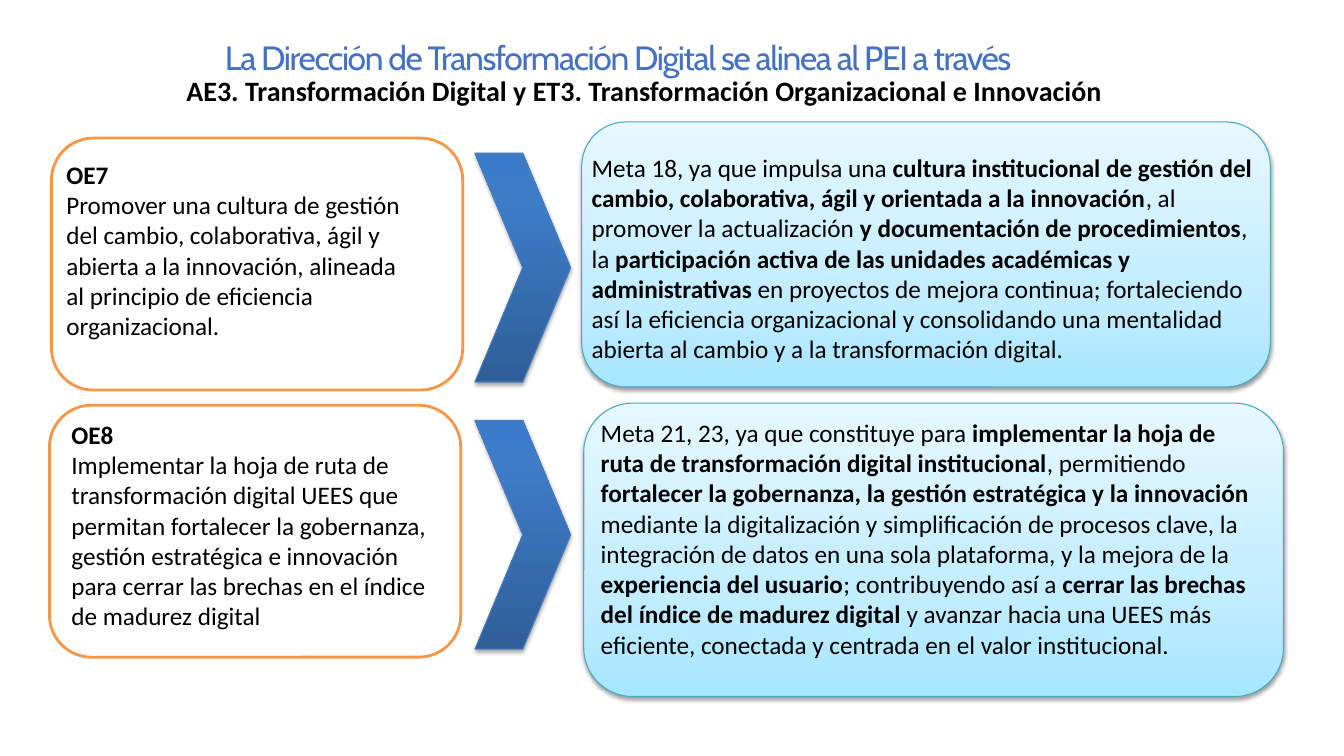
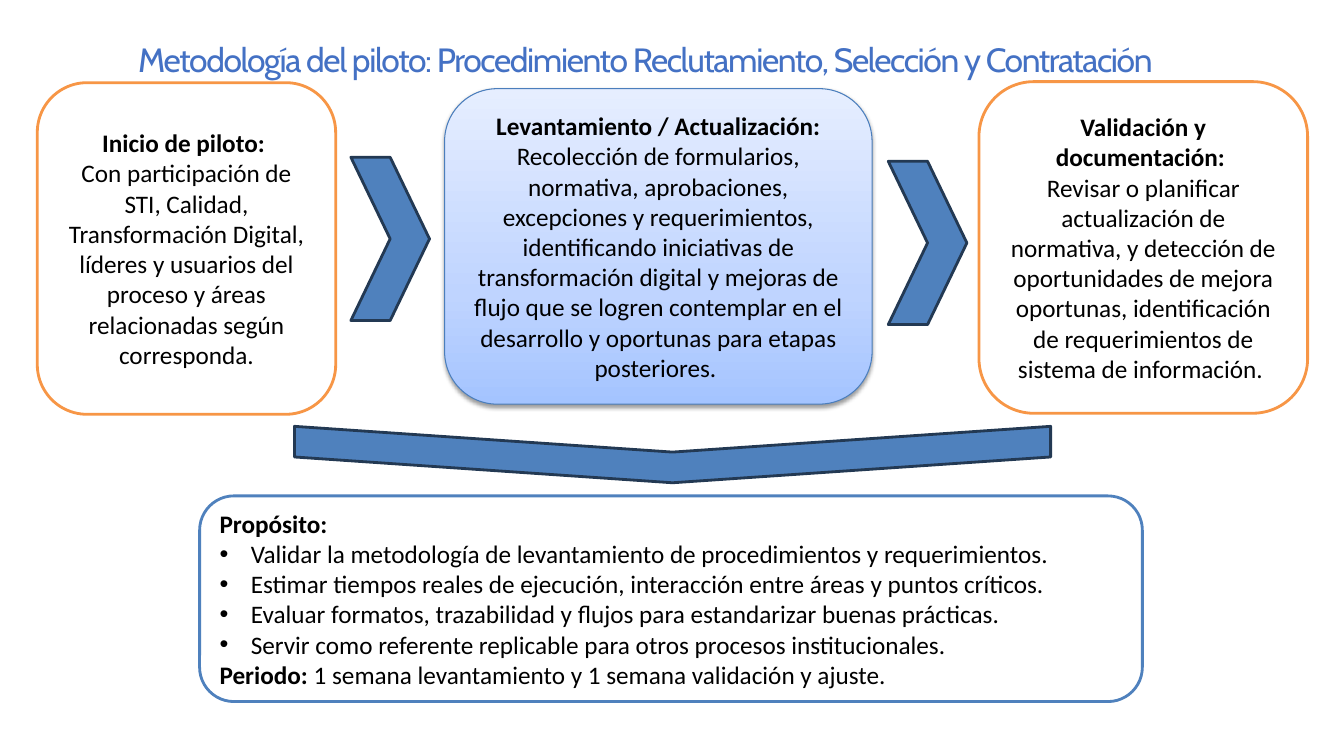
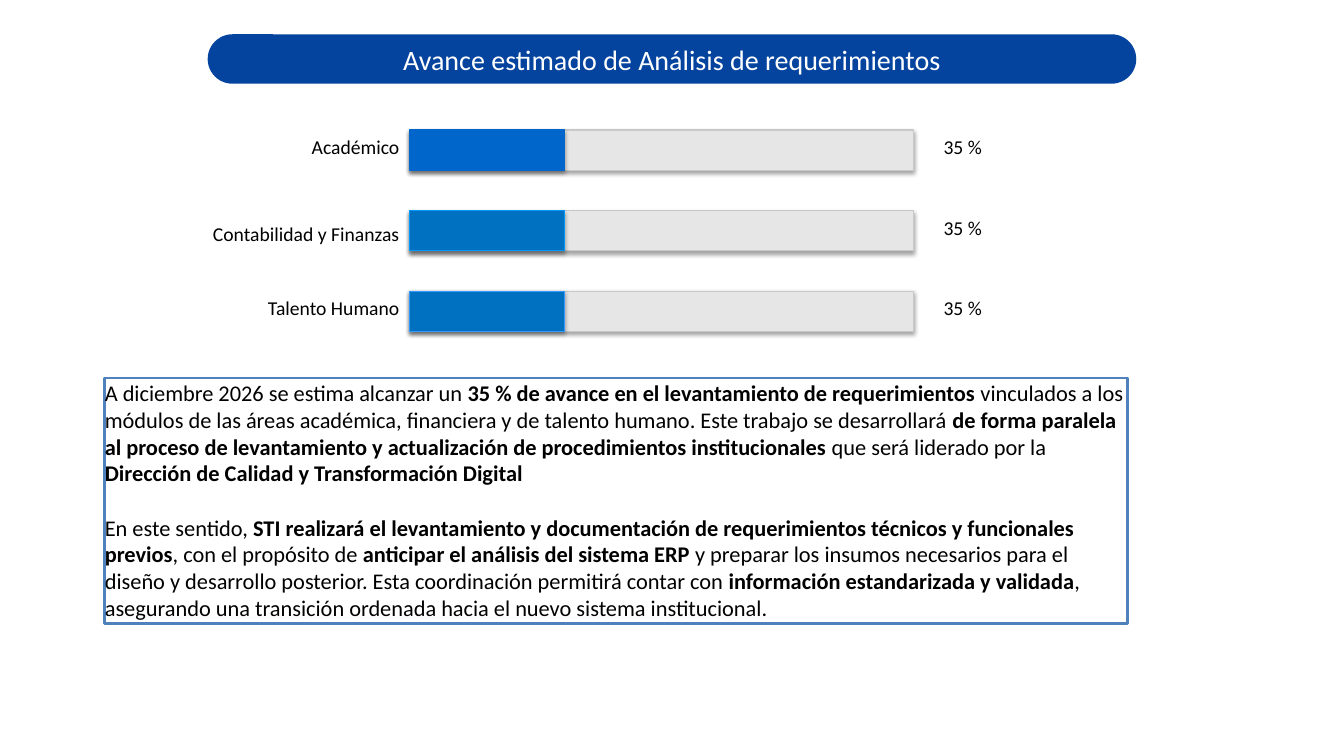
from collections import namedtuple

from lxml import etree
from pptx import Presentation
from pptx.dml.color import RGBColor
from pptx.enum.shapes import MSO_SHAPE as Preset
from pptx.enum.text import MSO_ANCHOR as Anchor, PP_ALIGN as Align
from pptx.oxml.ns import qn
from pptx.util import Inches, Pt

Box = namedtuple("Box", "left top width height")
Style = namedtuple("Style", "fill line weight shadow")

# Shared look: fill (one colour or gradient stops), line, weight, shadow (alpha, distance)
BLACK, WHITE, TITLE_BLUE, BANNER_BLUE = "000000", "FFFFFF", "4471C4", "04449E"
CARD_SHADOW, BAR_SHADOW = (38, 1.6), (35, 1.8)
ORANGE_CARD = Style(WHITE, "F79646", 2, None)
BLUE_CARD = Style(WHITE, "4F81BD", 2, None)
CYAN_CARD = Style([(0, "A7E6FF"), (35, "C1EDFF"), (100, "E7F8FF")], "46AAC5", 0.75, CARD_SHADOW)
SKY_CARD = Style([(0, "A4C4FF"), (35, "BFD4FF"), (100, "E6EEFF")], "4B7EBC", 0.75, CARD_SHADOW)
DEEP_ARROW = Style([(0, "2F5F99"), (80, "3D7CC7"), (100, "3A7CCB")], "4B7EBC", 0.75, BAR_SHADOW)
FLAT_ARROW = Style("4F81BD", "233953", 2, None)
BANNER = Style(BANNER_BLUE, None, 0, None)
TRACK = Style("E6E6E6", "C8C8C8", 0.75, BAR_SHADOW)
TEXT_INSETS = (0.1, 0.05, 0.1, 0.05)


def rgb(value):
    return RGBColor.from_string(value)


def inside(box, offset):
    """Move a box given relative to another one onto the slide."""
    return Box(box.left + offset.left, box.top + offset.top, offset.width, offset.height)


def add_child(parent, tag, **attributes):
    child = etree.SubElement(parent, qn(tag))
    for name, value in attributes.items():
        child.set(name, str(value))
    return child


def add_color_stop(parent, position, color):
    stop = add_child(parent, "a:gs", pos=position * 1000)
    add_child(stop, "a:srgbClr", val=color)


def add_outer_shadow(effects, alpha, distance):
    shadow = add_child(effects, "a:outerShdw", blurRad=Pt(3.1), dist=Pt(distance),
                       dir=5400000, rotWithShape=0)
    color = add_child(shadow, "a:srgbClr", val=BLACK)
    add_child(color, "a:alpha", val=alpha * 1000)


def add_panel(slide, preset, box, style):
    shape = slide.shapes.add_shape(preset, *map(Inches, box))
    properties = shape._element.spPr
    if isinstance(style.fill, str):
        shape.fill.solid()
        shape.fill.fore_color.rgb = rgb(style.fill)
    else:
        shape.fill.gradient()
        shape.fill.gradient_angle = 90
        stops = properties.find(qn("a:gradFill")).find(qn("a:gsLst"))
        for stop in list(stops):
            stops.remove(stop)
        for position, color in style.fill:
            add_color_stop(stops, position, color)
    if style.line:
        shape.line.color.rgb = rgb(style.line)
        shape.line.width = Pt(style.weight)
    else:
        shape.line.fill.background()
    shape.shadow.inherit = False
    if style.shadow:
        add_outer_shadow(properties.find(qn("a:effectLst")), *style.shadow)
    return shape


def add_bullet(paragraph):
    properties = paragraph._p.get_or_add_pPr()
    properties.set("marL", str(Inches(0.31)))
    properties.set("indent", str(-Inches(0.31)))
    add_child(properties, "a:buFont", typeface="Arial")
    add_child(properties, "a:buChar", char="•")


def write(shape, lines, size=18, color=BLACK, align=Align.LEFT, anchor=Anchor.TOP,
          insets=TEXT_INSETS, gap=0, font="Calibri"):
    """Fill a shape: ** switches bold, a newline breaks the line, "• " starts a bullet."""
    frame = shape.text_frame
    frame.word_wrap = True
    frame.vertical_anchor = anchor
    frame.margin_left, frame.margin_top, frame.margin_right, frame.margin_bottom = map(Inches, insets)
    for index, line in enumerate(lines):
        paragraph = frame.add_paragraph() if index else frame.paragraphs[0]
        paragraph.alignment = align
        if index and gap:
            paragraph.space_before = Pt(gap)
        if line.startswith("• "):
            add_bullet(paragraph)
            line = line[2:]
        for part, text in enumerate(line.split("**")):
            for row, piece in enumerate(text.split("\n")):
                if row:
                    paragraph.add_line_break()
                if piece:
                    run = paragraph.add_run()
                    run.text = piece
                    run.font.name = font
                    run.font.size = Pt(size)
                    run.font.bold = part % 2 == 1
                    run.font.color.rgb = rgb(color)


def add_text(slide, box, lines, **options):
    shape = slide.shapes.add_textbox(*map(Inches, box))
    write(shape, lines, **options)
    return shape


def add_title(slide, box, text):
    shape = add_text(slide, box, [text], size=24, color=TITLE_BLUE, font="Cabin",
                     insets=(0, 0.09, 0, 0))
    shape.text_frame.paragraphs[0].runs[0]._r.get_or_add_rPr().set("spc", "-100")


def add_card(slide, box, style, text_offset, lines):
    """Rounded card with a text box placed relative to its corner."""
    add_panel(slide, Preset.ROUNDED_RECTANGLE, box, style)
    add_text(slide, inside(box, text_offset), lines)


def add_step(slide, box, style, text):
    card = add_panel(slide, Preset.ROUNDED_RECTANGLE, box, style)
    write(card, [text], align=Align.CENTER, anchor=Anchor.MIDDLE)


def add_progress_row(slide, box, label, label_drop, percent, fill, line):
    """Label, track with its filled part, and value; the box is the track."""
    label_box = inside(box, Box(-2.29, label_drop, 2.29, 0.34))
    add_text(slide, label_box, [label], size=14, align=Align.RIGHT)
    add_panel(slide, Preset.RECTANGLE, box, TRACK)
    done = box._replace(width=1.54)
    add_panel(slide, Preset.RECTANGLE, done, Style(fill, line, 0.75, BAR_SHADOW))
    add_text(slide, inside(box, Box(box.width + 0.2, 0, 0.65, 0.34)), [percent], size=14)


def build_alignment(slide):
    add_title(slide, Box(2.23, 0.28, 10.01, 0.48),
              "La Dirección de Transformación Digital se alinea al PEI a través")
    add_text(slide, Box(1.75, 0.68, 11.42, 0.44),
             ["**AE3. Transformación Digital y ET3. Transformación Organizacional e Innovación**"],
             size=20)

    # Each row: objective card and text offset, goal card and text offset
    rows = [
        (Box(0.51, 1.37, 4.08, 2.5), Box(0.05, 0.16, 3.53, 1.92),
         ["**OE7**",
          "Promover una cultura de gestión del cambio, colaborativa, ágil y abierta a la "
          "innovación, alineada al principio de eficiencia organizacional."],
         Box(5.77, 1.21, 6.83, 2.63), Box(0, 0.25, 6.83, 2.22),
         "Meta 18, ya que impulsa una **cultura institucional de gestión del cambio, "
         "colaborativa, ágil y orientada a la innovación**, al promover la actualización** y "
         "documentación de procedimientos**, la **participación activa de las unidades "
         "académicas y administrativas** en proyectos de mejora continua; fortaleciendo así la "
         "eficiencia organizacional y consolidando una mentalidad abierta al cambio y a la "
         "transformación digital."),
        (Box(0.49, 4.02, 4.08, 2.5), Box(0.12, 0.09, 3.89, 2.22),
         ["**OE8**",
          "Implementar la hoja de ruta de transformación digital UEES que permitan fortalecer "
          "la gobernanza, gestión estratégica e innovación para cerrar las brechas en el índice "
          "de madurez digital"],
         Box(5.79, 4, 6.94, 2.91), Box(0.07, 0.09, 6.65, 2.83),
         "Meta 21, 23, ya que constituye para **implementar la hoja de ruta de transformación "
         "digital institucional**, permitiendo **fortalecer la gobernanza, la gestión "
         "estratégica y la innovación** mediante la digitalización y simplificación de procesos "
         "clave, la integración de datos en una sola plataforma, y la mejora de la "
         "**experiencia del usuario**; contribuyendo así a **cerrar las brechas del índice de "
         "madurez digital** y avanzar hacia una UEES más eficiente, conectada y centrada en el "
         "valor institucional."),
    ]
    for objective_box, objective_offset, objective, goal_box, goal_offset, goal in rows:
        add_card(slide, objective_box, ORANGE_CARD, objective_offset, objective)
        add_panel(slide, Preset.CHEVRON, Box(4.71, objective_box.top + 0.15, 0.95, 2.27), DEEP_ARROW)
        add_card(slide, goal_box, CYAN_CARD, goal_offset, [goal])


def build_method(slide):
    add_title(slide, Box(1.37, 0.3, 11.46, 0.48),
              "Metodología del piloto: Procedimiento Reclutamiento, Selección y Contratación")

    # Three steps joined by chevrons
    add_step(slide, Box(0.37, 0.82, 2.96, 3.29), ORANGE_CARD,
             "**Inicio de piloto: \n**Con participación de STI, Calidad, Transformación Digital, "
             "líderes y usuarios del proceso y áreas relacionadas según corresponda.")
    add_step(slide, Box(4.41, 0.88, 4.24, 3.13), SKY_CARD,
             "**Levantamiento / Actualización: **Recolección de formularios, normativa, "
             "aprobaciones, excepciones y requerimientos, identificando iniciativas de "
             "transformación digital y mejoras de flujo que se logren contemplar en el "
             "desarrollo y oportunas para etapas posteriores. ")
    add_step(slide, Box(9.71, 0.81, 3.26, 3.29), ORANGE_CARD,
             "**Validación y documentación: \n**Revisar o planificar actualización de normativa, "
             "y detección de oportunidades de mejora oportunas, identificación de "
             "requerimientos de sistema de información. ")
    for left, top in ((3.48, 1.56), (8.81, 1.6)):
        add_panel(slide, Preset.CHEVRON, Box(left, top, 0.78, 1.62), FLAT_ARROW)

    # Wide arrow down to the purpose
    down_arrow = add_panel(slide, Preset.CHEVRON, Box(6.39, 0.76, 0.56, 7.5), FLAT_ARROW)
    down_arrow.rotation = 90
    down_arrow.adjustments[0] = 0.457
    purpose = add_panel(slide, Preset.ROUNDED_RECTANGLE, Box(1.98, 4.92, 9.35, 2.04), BLUE_CARD)
    write(purpose, [
        "**Propósito:**",
        "• Validar la metodología de levantamiento de procedimientos y requerimientos.",
        "• Estimar tiempos reales de ejecución, interacción entre áreas y puntos críticos.",
        "• Evaluar formatos, trazabilidad y flujos para estandarizar buenas prácticas.",
        "• Servir como referente replicable para otros procesos institucionales.",
        "**Periodo: **1 semana levantamiento y 1 semana validación y ajuste.",
    ], anchor=Anchor.MIDDLE)


def build_progress(slide):
    # Banner with shadowed text
    banner = add_panel(slide, Preset.ROUNDED_RECTANGLE, Box(2.06, 0.34, 9.21, 0.49), BANNER)
    banner.adjustments[0] = 0.5
    write(banner, ["Avance estimado de Análisis de requerimientos"], size=20, color=WHITE,
          align=Align.CENTER, anchor=Anchor.MIDDLE)
    run_properties = banner.text_frame.paragraphs[0].runs[0]._r.get_or_add_rPr()
    effects = etree.Element(qn("a:effectLst"))
    add_outer_shadow(effects, 60, 2)
    run_properties.find(qn("a:solidFill")).addnext(effects)

    # Progress bars
    areas = [
        ("Académico", 0, "0066CC", "0066CC"),
        ("Contabilidad y Finanzas", 0.06, "0070C0", "0099FF"),
        ("Talento Humano", 0, "0070C0", "3399FF"),
    ]
    for index, (label, label_drop, fill, line) in enumerate(areas):
        track = Box(4.06, 1.29 + 0.8 * index, 5, 0.4)
        add_progress_row(slide, track, label, label_drop, "35 %", fill, line)

    # Explanation
    summary = add_panel(slide, Preset.RECTANGLE, Box(1.04, 3.75, 10.14, 2.44), BLUE_CARD)
    write(summary, [
        "A diciembre 2026 se estima alcanzar un **35 % de avance en el levantamiento de "
        "requerimientos** vinculados a los módulos de las áreas académica, financiera y de "
        "talento humano. Este trabajo se desarrollará **de forma paralela al proceso de "
        "levantamiento y actualización de procedimientos institucionales** que será liderado "
        "por la **Dirección de Calidad y Transformación Digital**",
        "En este sentido, **STI realizará el levantamiento y documentación de requerimientos "
        "técnicos y funcionales previos**, con el propósito de **anticipar el análisis del "
        "sistema ERP** y preparar los insumos necesarios para el diseño y desarrollo posterior. "
        "Esta coordinación permitirá contar con **información estandarizada y validada**, "
        "asegurando una transición ordenada hacia el nuevo sistema institucional.",
    ], size=16, insets=(0, 0.01, 0, 0), gap=19.5)


def main():
    presentation = Presentation()
    presentation.slide_width, presentation.slide_height = Inches(13.33), Inches(7.5)
    for build in (build_alignment, build_method, build_progress):
        build(presentation.slides.add_slide(presentation.slide_layouts[6]))
    presentation.save("out.pptx")


if __name__ == "__main__":
    main()
